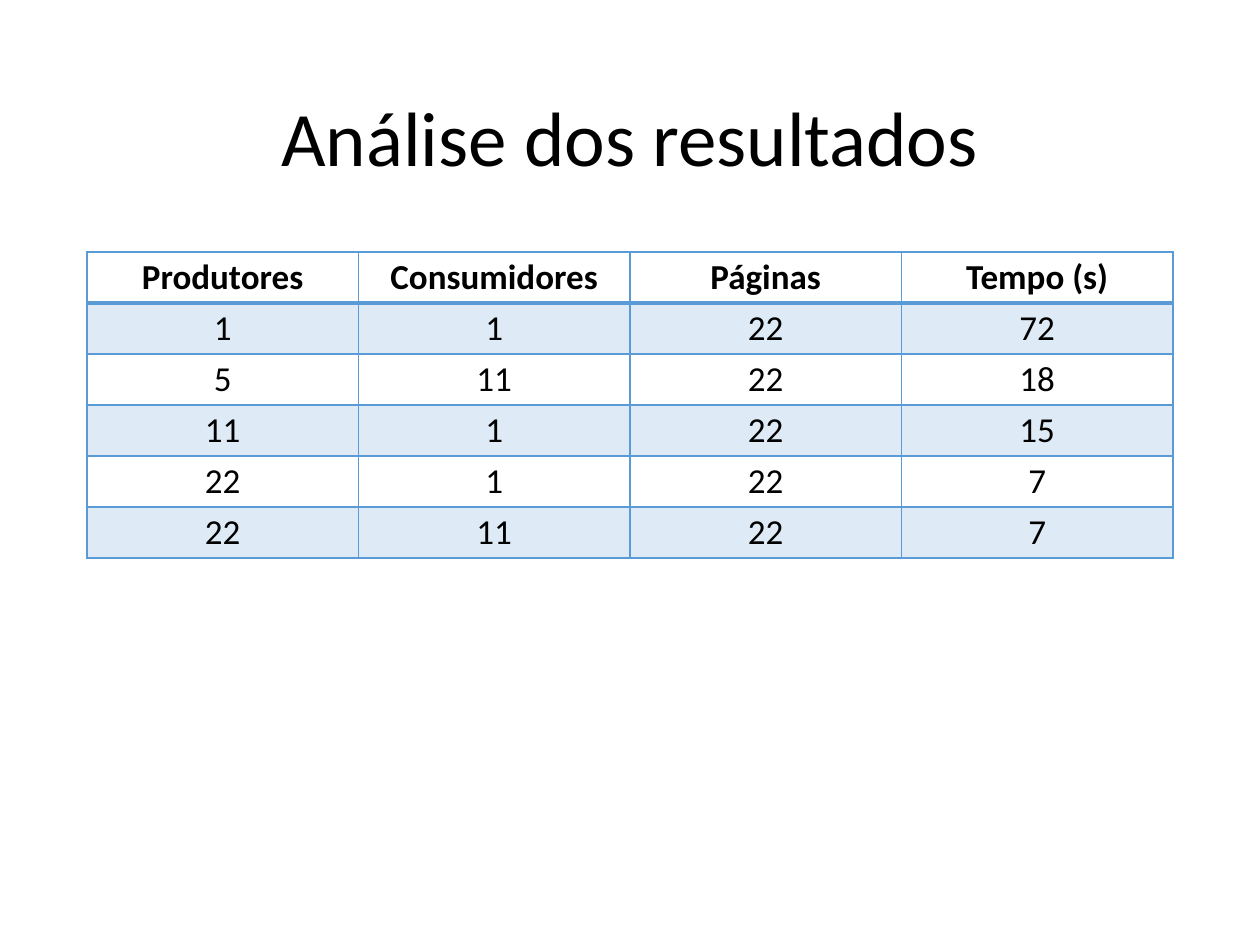
import dataclasses

import lxml.etree
import pptx
import pptx.dml.color
import pptx.enum.text
import pptx.oxml.ns
import pptx.util

WIDTH, HEIGHT = 10, 7.5
MARGIN = 0.69
CONTENT_WIDTH = WIDTH - 2 * MARGIN
TABLE_TOP, ROW_HEIGHT = 2, 0.405
FONT = "Calibri"
BLACK, BLUE = "000000", "5B9BD5"


@dataclasses.dataclass
class Row:
    values: tuple
    header: bool = False
    banded: bool = False
    top: float = 1
    bottom: float = 1


ROWS = [
    Row(("Produtores", "Consumidores", "Páginas", "Tempo (s)"), header=True, bottom=2),
    Row((1, 1, 22, 72), banded=True, top=2),
    Row((5, 11, 22, 18)),
    Row((11, 1, 22, 15), banded=True),
    Row((22, 1, 22, 7)),
    Row((22, 11, 22, 7), banded=True),
]


def color(hex_code: str) -> pptx.dml.color.RGBColor:
    return pptx.dml.color.RGBColor.from_string(hex_code)


def write(frame, text: str, size: float, bold: bool = False) -> None:
    paragraph = frame.paragraphs[0]
    paragraph.alignment = pptx.enum.text.PP_ALIGN.CENTER
    run = paragraph.add_run()
    run.text = text
    run.font.name = FONT
    run.font.size = pptx.util.Pt(size)
    run.font.bold = bold
    run.font.color.rgb = color(BLACK)


def sub(parent, tag: str, **attributes: str):
    return lxml.etree.SubElement(parent, pptx.oxml.ns.qn(tag), **attributes)


def set_borders(cell, top: float, bottom: float) -> None:
    """Border lines come before the fill in the cell properties."""
    properties = cell._tc.get_or_add_tcPr()
    sides = {"a:lnL": 1, "a:lnR": 1, "a:lnT": top, "a:lnB": bottom}
    for position, (tag, points) in enumerate(sides.items()):
        line = sub(properties, tag, w=str(pptx.util.Pt(points)))
        sub(sub(line, "a:solidFill"), "a:srgbClr", val=BLUE)
        properties.insert(position, line)


def fill_cell(cell, banded: bool) -> None:
    if not banded:
        cell.fill.background()
        return
    cell.fill.solid()
    cell.fill.fore_color.rgb = color(BLUE)
    tint = cell._tc.tcPr.find(".//" + pptx.oxml.ns.qn("a:srgbClr"))
    sub(tint, "a:alpha", val="20000")


def add_results(slide, rows: list[Row]) -> None:
    columns = len(rows[0].values)
    results = slide.shapes.add_table(
        len(rows), columns,
        pptx.util.Inches(MARGIN), pptx.util.Inches(TABLE_TOP),
        pptx.util.Inches(CONTENT_WIDTH), pptx.util.Inches(ROW_HEIGHT * len(rows)),
    ).table
    results.horz_banding = False
    for r, row in enumerate(rows):
        for c, value in enumerate(row.values):
            cell = results.cell(r, c)
            cell.vertical_anchor = pptx.enum.text.MSO_ANCHOR.MIDDLE
            cell.margin_left = cell.margin_right = pptx.util.Inches(0.07)
            cell.margin_top = cell.margin_bottom = 0
            write(cell.text_frame, str(value), 20, row.header)
            fill_cell(cell, row.banded)
            set_borders(cell, row.top, row.bottom)


presentation = pptx.Presentation()
presentation.slide_width = pptx.util.Inches(WIDTH)
presentation.slide_height = pptx.util.Inches(HEIGHT)
slide = presentation.slides.add_slide(presentation.slide_layouts[5])

# Title
heading = slide.shapes.title
heading.left, heading.top = pptx.util.Inches(MARGIN), pptx.util.Inches(0.4)
heading.width, heading.height = pptx.util.Inches(CONTENT_WIDTH), pptx.util.Inches(1.45)
heading.text_frame.vertical_anchor = pptx.enum.text.MSO_ANCHOR.MIDDLE
write(heading.text_frame, "Análise dos resultados", 44)
heading.text_frame.paragraphs[0].line_spacing = 0.9

# Results table
add_results(slide, ROWS)

presentation.save("out.pptx")
